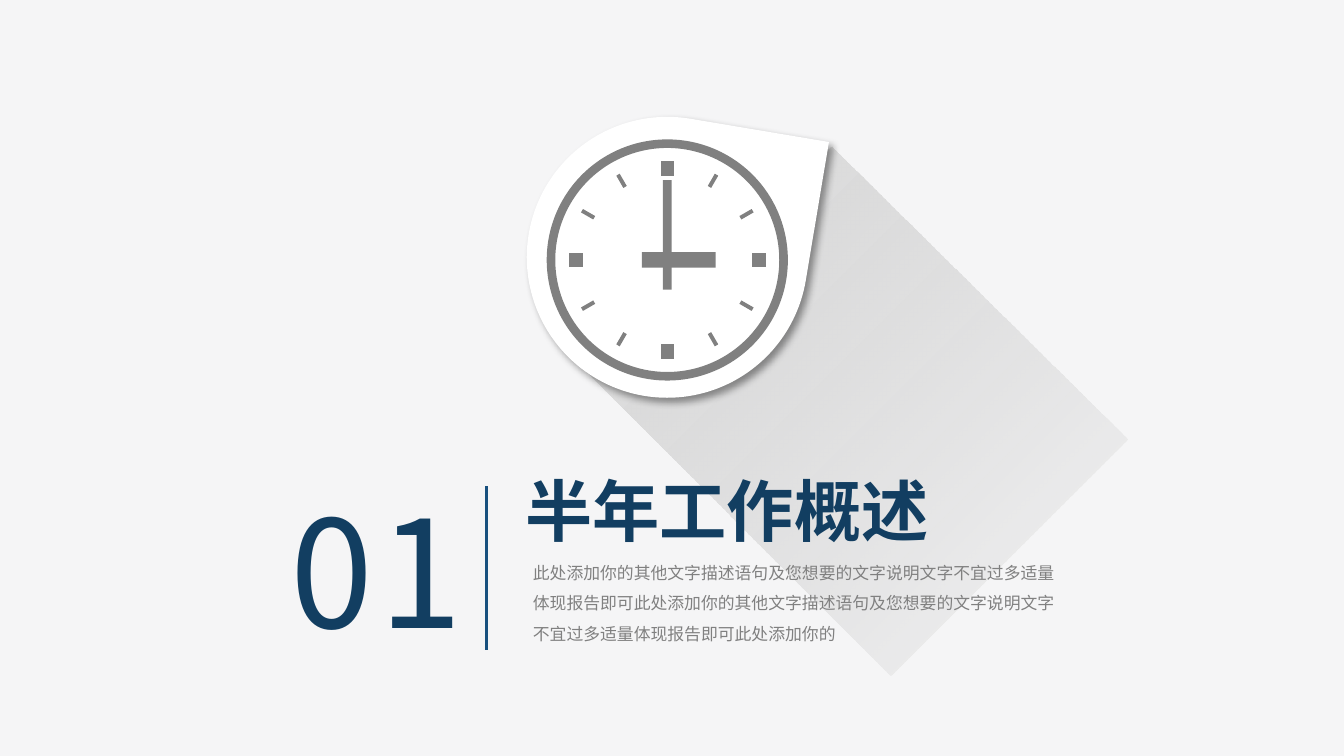
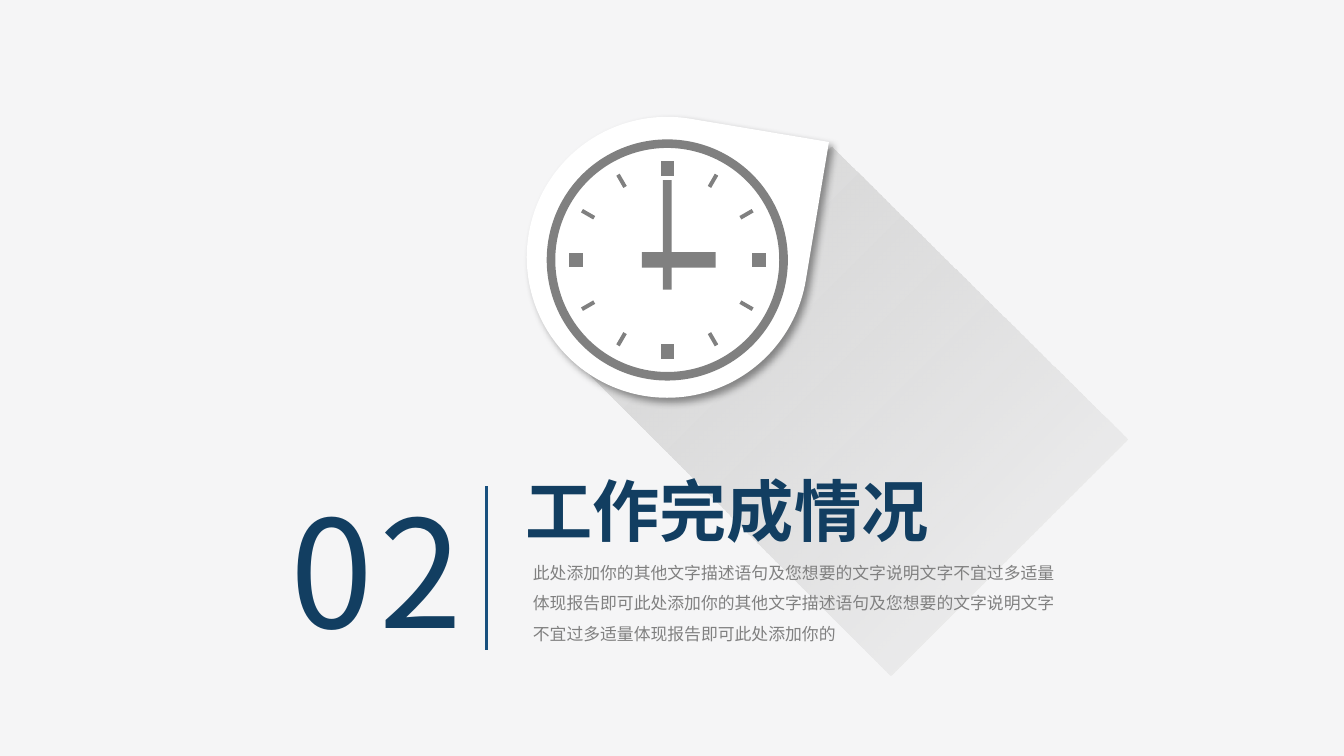
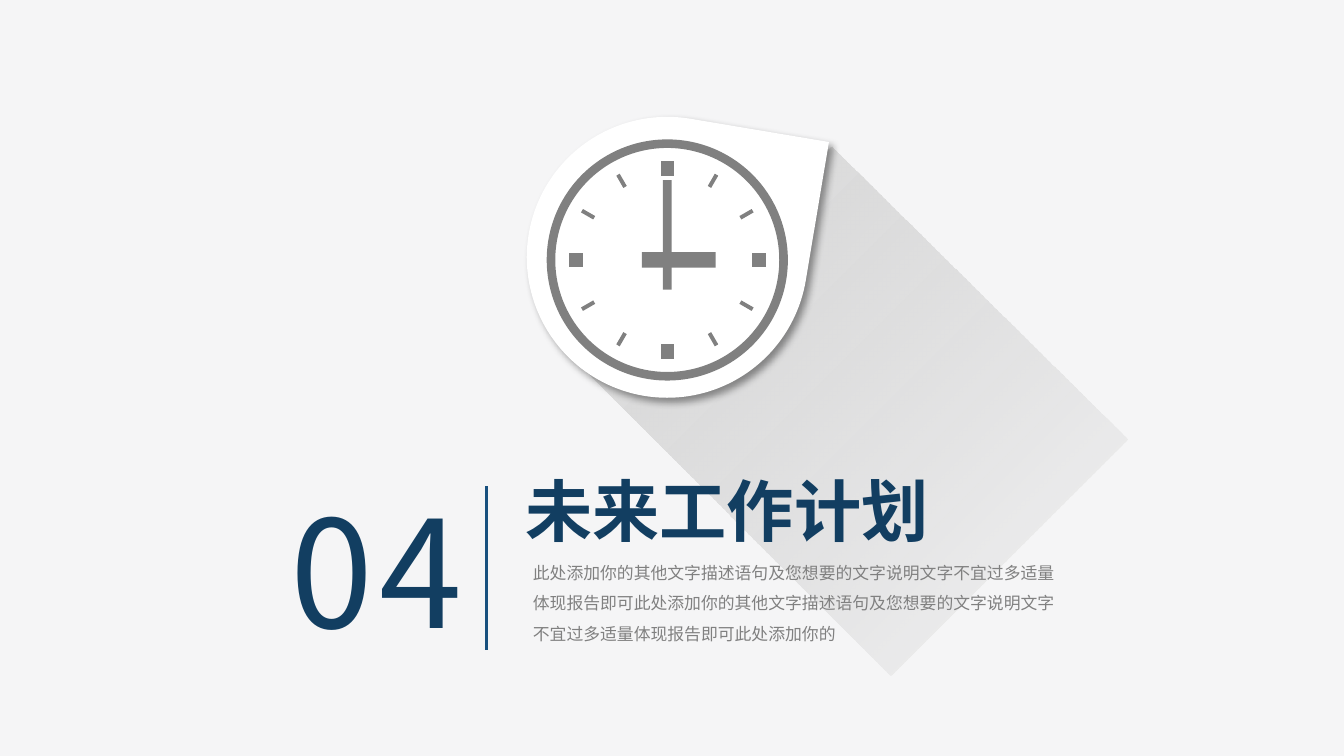
from math import cos, radians, sin

from lxml.etree import SubElement
from pptx import Presentation
from pptx.dml.color import RGBColor
from pptx.enum.shapes import MSO_CONNECTOR, MSO_SHAPE
from pptx.enum.text import MSO_ANCHOR, MSO_AUTO_SIZE
from pptx.oxml.ns import qn
from pptx.util import Pt

SECTIONS = [
    ("01", "半年工作概述"),
    ("02", "工作完成情况"),
    ("04", "未来工作计划"),
]
DESCRIPTION = (
    "此处添加你的其他文字描述语句及您想要的文字说明文字不宜过多适量"
    "体现报告即可此处添加你的其他文字描述语句及您想要的文字说明文字"
    "不宜过多适量体现报告即可此处添加你的"
)

FONT = "Noto Sans CJK SC"
BACKGROUND, WHITE, BLACK = "F5F5F6", "FFFFFF", "000000"
NAVY, RULE_BLUE, GRAY = "123E61", "18507E", "808080"
SHADE_START, SHADE_END = "D9D9D9", "BFBFBF"

# Lengths are in points.
SLIDE_SIZE = (720, 405)
PIN_BOX = (282.2, 62.6, 150.5, 150.5)
LONG_SHADE = [(365, 91.3), (543.2, 111.5), (544.3, 334.3), (365, 334.3)]
CLOCK_CENTER = (357.5, 139.3)
RING_SIZE, RING_WIDTH = 129.2, 4.6
TICK_RADIUS, TICK_LENGTH = 49, 7.6
HOUR_TICK_WIDTH, QUARTER_TICK_WIDTH = 2.1, 7.2
HANDS = [(355.1, 96.5, 4.8, 58.8), (343.8, 135.1, 39.6, 8.4)]
NUMBER_BOX = (150.5, 259.2, 112.3, 90.7)
DESCRIPTION_BOX = (280.1, 290.9, 293, 59)
TITLE_BOX = (274.3, 247.7, 232.9, 51.1)
RULE_X, RULE_TOP, RULE_BOTTOM = 260.7, 260.6, 348.5


def color(code):
    return RGBColor.from_string(code)


def points(values):
    return [Pt(value) for value in values]


def paint(shape, code):
    shape.shadow.inherit = False
    shape.fill.solid()
    shape.fill.fore_color.rgb = color(code)
    shape.line.fill.background()


def add_preset(shapes, kind, frame, code):
    shape = shapes.add_shape(kind, *points(frame))
    paint(shape, code)
    return shape


def add_polygon(shapes, corners, code):
    first, *others = [points(corner) for corner in corners]
    builder = shapes.build_freeform(*first)
    builder.add_line_segments(others, close=True)
    shape = builder.convert_to_shape()
    paint(shape, code)
    return shape


def add_long_shade(page):
    """Band that falls from the pin to the lower right and fades out."""
    shade = add_polygon(page.shapes, LONG_SHADE, SHADE_START)
    shade.rotation = 315
    shade.fill.gradient()
    shade.fill.gradient_angle = 270
    for stop, code in zip(shade.fill.gradient_stops, (SHADE_START, SHADE_END)):
        stop.color.rgb = color(code)
    last_color = list(shade._element.spPr.iter(qn("a:srgbClr")))[-1]
    SubElement(last_color, qn("a:alpha"), val="0")


def add_pin(page):
    pin = add_preset(page.shapes, MSO_SHAPE.TEAR, PIN_BOX, WHITE)
    pin.rotation = 9.5
    effects = pin._element.spPr.find(qn("a:effectLst"))
    shadow = SubElement(effects, qn("a:outerShdw"), blurRad=str(Pt(4)), dist=str(Pt(3)),
                        dir=str(45 * 60000), algn="tl", rotWithShape="0")
    shadow_color = SubElement(shadow, qn("a:srgbClr"), val=BLACK)
    SubElement(shadow_color, qn("a:alpha"), val="40000")


def tick_corners(hour, width):
    """Corners of a bar that points away from the middle of the clock."""
    angle = radians(hour * 30)
    across, outward = (cos(angle), sin(angle)), (sin(angle), -cos(angle))
    corners = []
    for side, end in ((-1, -1), (1, -1), (1, 1), (-1, 1)):
        shift = side * width / 2
        reach = TICK_RADIUS + end * TICK_LENGTH / 2
        corners.append([middle + shift * a + reach * o
                        for middle, a, o in zip(CLOCK_CENTER, across, outward)])
    return corners


def add_clock(page):
    clock = page.shapes.add_group_shape().shapes
    corner = [middle - RING_SIZE / 2 for middle in CLOCK_CENTER]
    ring = add_preset(clock, MSO_SHAPE.DONUT, (*corner, RING_SIZE, RING_SIZE), GRAY)
    ring.adjustments[0] = RING_WIDTH / RING_SIZE
    for hour in range(12):
        width = HOUR_TICK_WIDTH if hour % 3 else QUARTER_TICK_WIDTH
        add_polygon(clock, tick_corners(hour, width), GRAY)
    for hand in HANDS:
        add_preset(clock, MSO_SHAPE.RECTANGLE, hand, GRAY)


def add_text(page, frame, text, size, code, bold=False, spacing=None):
    box = page.shapes.add_textbox(*points(frame))
    box.text_frame.word_wrap = True
    para = box.text_frame.paragraphs[0]
    span = para.add_run()
    span.text = text
    span.font.size = Pt(size)
    span.font.bold = bold
    span.font.color.rgb = color(code)
    span.font.name = FONT
    properties = span._r.get_or_add_rPr()
    SubElement(properties, qn("a:ea"), typeface=FONT)
    if spacing:
        properties.set("spc", str(spacing * 100))
    return box.text_frame


def center_in_tight_margins(frame):
    frame.vertical_anchor = MSO_ANCHOR.MIDDLE
    frame.margin_left = frame.margin_right = Pt(5.4)
    frame.margin_top = frame.margin_bottom = Pt(2.7)


def add_rule(page):
    rule = page.shapes.add_connector(
        MSO_CONNECTOR.STRAIGHT, *points((RULE_X, RULE_TOP, RULE_X, RULE_BOTTOM)))
    rule.line.color.rgb = color(RULE_BLUE)
    rule.line.width = Pt(1.5)
    SubElement(rule._element.spPr, qn("a:effectLst"))


def add_section(deck, number, title):
    page = deck.slides.add_slide(deck.slide_layouts[6])
    page.background.fill.solid()
    page.background.fill.fore_color.rgb = color(BACKGROUND)

    add_long_shade(page)
    add_pin(page)
    add_clock(page)

    number_frame = add_text(page, NUMBER_BOX, number, 80, NAVY, spacing=3)
    center_in_tight_margins(number_frame)
    description = add_text(page, DESCRIPTION_BOX, DESCRIPTION, 9, GRAY)
    center_in_tight_margins(description)
    description.paragraphs[0].line_spacing = 1.5
    heading = add_text(page, TITLE_BOX, title, 36, NAVY, bold=True)
    heading.word_wrap = False
    heading.auto_size = MSO_AUTO_SIZE.SHAPE_TO_FIT_TEXT
    add_rule(page)


def main():
    deck = Presentation()
    deck.slide_width, deck.slide_height = points(SLIDE_SIZE)
    for number, title in SECTIONS:
        add_section(deck, number, title)
    deck.save("out.pptx")


if __name__ == "__main__":
    main()
